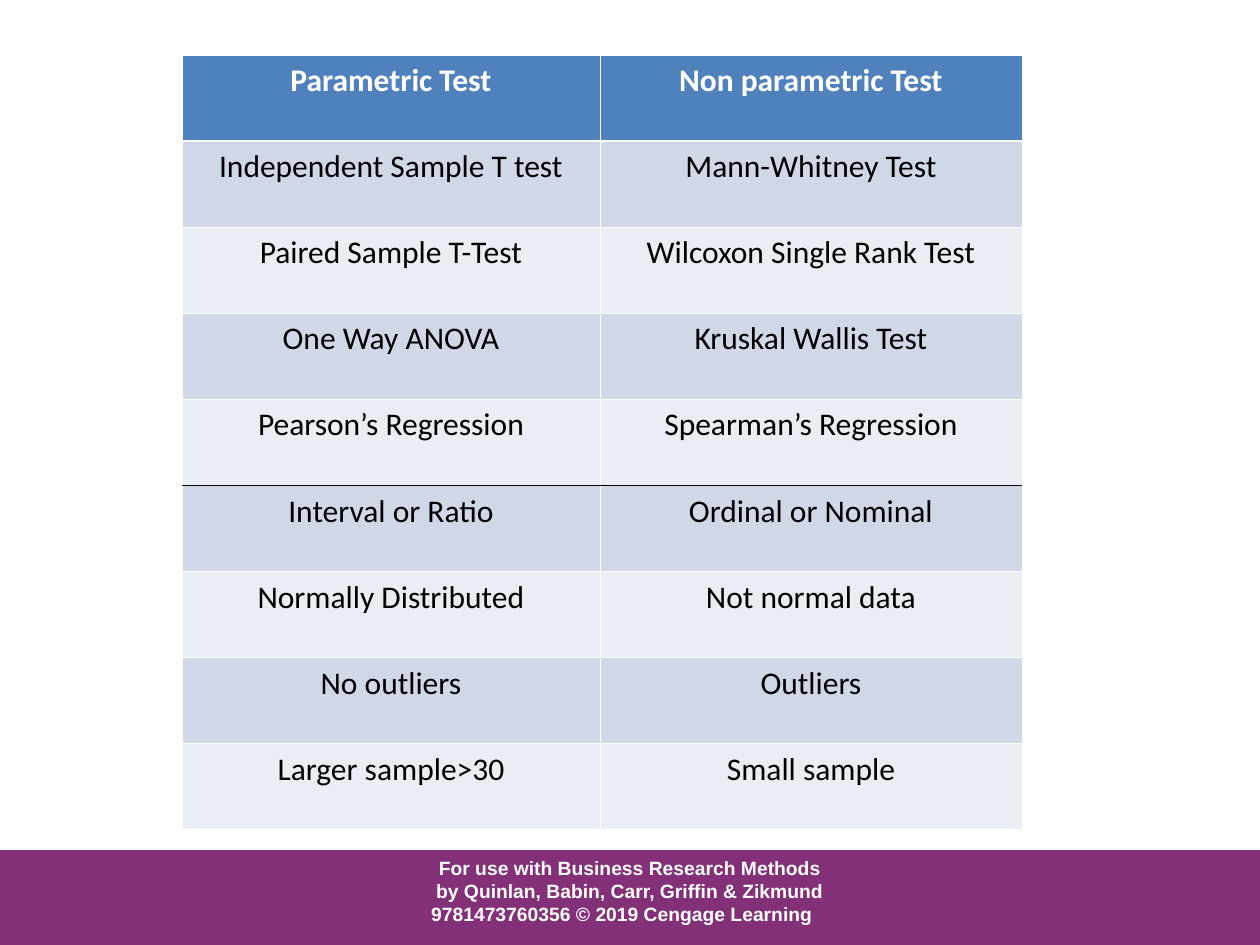
import pptx
import pptx.util
import pptx.dml.color
import pptx.enum.shapes
import pptx.enum.text
import pptx.oxml.ns
import lxml.etree

RGB = pptx.dml.color.RGBColor
WHITE = RGB(0xFF, 0xFF, 0xFF)
BLACK = RGB(0x00, 0x00, 0x00)
PLUM = RGB(0x83, 0x30, 0x79)
BLUE = RGB(0x4F, 0x81, 0xBD)
BANDS = [RGB(0xE9, 0xED, 0xF4), RGB(0xD0, 0xD8, 0xE8)]
CENTER = pptx.enum.text.PP_ALIGN.CENTER
THIN, THICK = 0.45, 1.47


def px(n):
    return round(n * 914400 / 126)


def edge(cell, side, color, width):
    props = cell._tc.get_or_add_tcPr()
    line = lxml.etree.SubElement(props, pptx.oxml.ns.qn("a:ln" + side))
    line.set("w", str(pptx.util.Pt(width)))
    fill = lxml.etree.SubElement(line, pptx.oxml.ns.qn("a:solidFill"))
    lxml.etree.SubElement(fill, pptx.oxml.ns.qn("a:srgbClr")).set("val", str(color))


deck = pptx.Presentation()
deck.slide_width = px(1260)
deck.slide_height = px(945)
slide = deck.slides.add_slide(deck.slide_layouts[6])

# Footer band
band = slide.shapes.add_shape(
    pptx.enum.shapes.MSO_SHAPE.RECTANGLE, 0, px(850), px(1260), px(95))
band.shadow.inherit = False
band.fill.solid()
band.fill.fore_color.rgb = PLUM
band.line.fill.background()
frame = band.text_frame
frame.word_wrap = True
frame.vertical_anchor = pptx.enum.text.MSO_ANCHOR.TOP
credits = [
    "For use with Business Research Methods",
    "by Quinlan, Babin, Carr, Griffin & Zikmund",
    "9781473760356 © 2019 Cengage Learning",
]
for i, words in enumerate(credits):
    para = frame.paragraphs[0] if i == 0 else frame.add_paragraph()
    para.alignment = CENTER
    run = para.add_run()
    run.text = words
    run.font.name = "Arial"
    run.font.size = pptx.util.Pt(11)
    run.font.bold = True
    run.font.color.rgb = WHITE
# The last line sits slightly left of center
para._p.get_or_add_pPr().set("marR", str(px(16)))

# Table of paired tests and their conditions
tests = [
    ("Parametric Test", "Non parametric Test"),
    ("Independent Sample T test", "Mann-Whitney Test"),
    ("Paired Sample T-Test", "Wilcoxon Single Rank Test"),
    ("One Way ANOVA", "Kruskal Wallis Test"),
    ("Pearson’s Regression", "Spearman’s Regression"),
    ("Interval or Ratio", "Ordinal or Nominal"),
    ("Normally Distributed", "Not normal data"),
    ("No outliers", "Outliers"),
    ("Larger sample>30", "Small sample"),
]
# Rules below the header and below the last test; the rest are thin white
rules = {0: (WHITE, THICK), 4: (BLACK, THIN)}
plain = (WHITE, THIN)
table = slide.shapes.add_table(
    len(tests), 2, px(182), px(55), px(840), px(775)).table
for col, width in zip(table.columns, (418, 422)):
    col.width = px(width)

for r, names in enumerate(tests):
    table.rows[r].height = px(87 if r == 4 else 86)
    for c, words in enumerate(names):
        cell = table.cell(r, c)
        edge(cell, "L", *plain)
        edge(cell, "R", *plain)
        edge(cell, "T", *rules.get(r - 1, plain))
        edge(cell, "B", *rules.get(r, plain))
        cell.fill.solid()
        cell.fill.fore_color.rgb = BLUE if r == 0 else BANDS[r % 2]
        para = cell.text_frame.paragraphs[0]
        para.alignment = CENTER
        run = para.add_run()
        run.text = words
        run.font.name = "Calibri"
        run.font.size = pptx.util.Pt(18)
        run.font.bold = r == 0
        run.font.color.rgb = WHITE if r == 0 else BLACK

deck.save("out.pptx")
